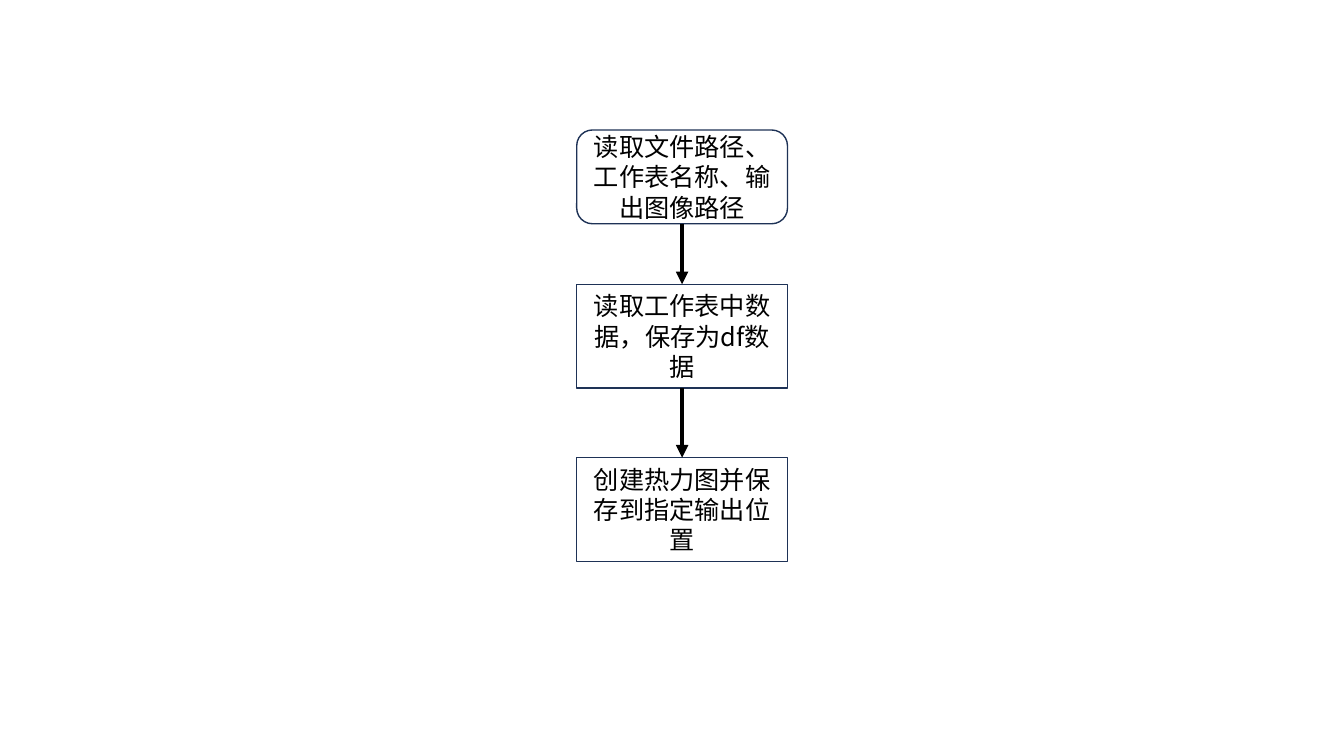
import dataclasses
import itertools

import lxml.etree
import pptx
import pptx.dml.color
import pptx.enum.shapes
import pptx.enum.text
import pptx.oxml.ns
import pptx.util

KIND = pptx.enum.shapes.MSO_SHAPE


@dataclasses.dataclass(frozen=True)
class Theme:
    """Hold the colours, font and sizes of the flow chart."""

    ink: str = "000000"
    edge: str = "1E3256"
    font: str = "Noto Sans CJK SC"
    size: float = 18
    thin: float = 1
    thick: float = 3


class Flow:
    """Draw flow chart parts on a grid of tenth-inch columns and rows."""

    def __init__(self, theme, slide):
        """Keep the theme and the current slide."""
        self.theme = theme
        self.slide = slide

    def unit(self, count):
        """Turn a number of columns or rows into a length."""
        return pptx.util.Inches(count / 10)

    def stroke(self, line, tint, width):
        """Set the colour and width of a line."""
        line.color.rgb = pptx.dml.color.RGBColor.from_string(tint)
        line.width = pptx.util.Pt(width)

    def step(self, kind, text, left, top, width, height):
        """Add one outlined step with centred text."""
        place = map(self.unit, (left, top, width, height))
        shape = self.slide.shapes.add_shape(kind, *place)
        shape.shadow.inherit = False
        shape.fill.background()
        self.stroke(shape.line, self.theme.edge, self.theme.thin)
        frame = shape.text_frame
        frame.word_wrap = True
        frame.vertical_anchor = pptx.enum.text.MSO_ANCHOR.MIDDLE
        para = frame.paragraphs[0]
        para.alignment = pptx.enum.text.PP_ALIGN.CENTER
        run = para.add_run()
        run.text = text
        run.font.name = self.theme.font
        run.font.size = pptx.util.Pt(self.theme.size)
        run.font.color.rgb = pptx.dml.color.RGBColor.from_string(self.theme.ink)
        east = lxml.etree.SubElement(run.font._element, pptx.oxml.ns.qn("a:ea"))
        east.set("typeface", self.theme.font)
        return shape

    def arrow(self, above, below):
        """Link the foot of one step to the head of the next."""
        mid = above.left + above.width // 2
        link = self.slide.shapes.add_connector(
            pptx.enum.shapes.MSO_CONNECTOR.STRAIGHT,
            mid, above.top + above.height, mid, below.top)
        link.begin_connect(above, 2)
        link.end_connect(below, 0)
        self.stroke(link.line, self.theme.ink, self.theme.thick)
        head = lxml.etree.SubElement(link.line._get_or_add_ln(), pptx.oxml.ns.qn("a:tailEnd"))
        head.set("type", "triangle")
        lxml.etree.SubElement(link._element.spPr, pptx.oxml.ns.qn("a:effectLst"))


def main():
    """Build and save the slide."""
    deck = pptx.Presentation()
    deck.slide_width = pptx.util.Inches(13.33)
    deck.slide_height = pptx.util.Inches(7.5)
    flow = Flow(Theme(), deck.slides.add_slide(deck.slide_layouts[6]))
    left, width = 57.2, 20.9
    plan = (
        (KIND.ROUNDED_RECTANGLE, "读取文件路径、工作表名称、输出图像路径", 12.9, 9.3),
        (KIND.RECTANGLE, "读取工作表中数据，保存为df数据", 28.2, 10.3),
        (KIND.RECTANGLE, "创建热力图并保存到指定输出位置", 45.4, 10.3),
    )
    steps = [flow.step(kind, text, left, top, width, height)
             for kind, text, top, height in plan]
    for above, below in itertools.pairwise(steps):
        flow.arrow(above, below)
    deck.save("out.pptx")


if __name__ == "__main__":
    main()
